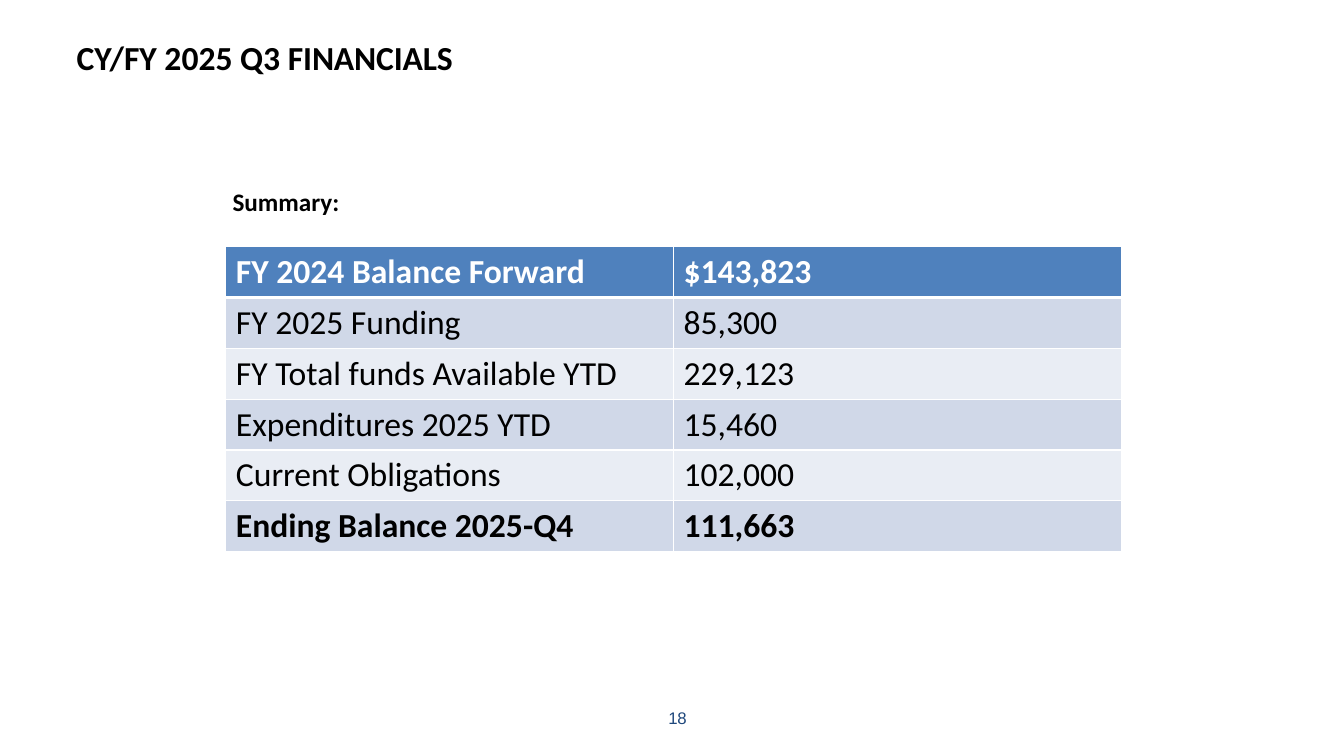
from lxml import etree
from pptx import Presentation
from pptx.dml.color import RGBColor
from pptx.enum.text import MSO_AUTO_SIZE
from pptx.oxml.ns import qn
from pptx.util import Cm, Pt

FIT_SHAPE = MSO_AUTO_SIZE.SHAPE_TO_FIT_TEXT

BLACK = RGBColor(0x00, 0x00, 0x00)
WHITE = RGBColor(0xFF, 0xFF, 0xFF)
NAVY = RGBColor(0x1F, 0x48, 0x7C)
HEADER_BLUE = RGBColor(0x4F, 0x81, 0xBD)
BANDS = [RGBColor(0xE9, 0xED, 0xF4), RGBColor(0xD0, 0xD8, 0xE8)]

SUMMARY_ROWS = [
    ("FY 2024 Balance Forward", "$143,823"),
    ("FY 2025 Funding", "85,300"),
    ("FY Total funds Available YTD", "229,123"),
    ("Expenditures 2025 YTD", "15,460"),
    ("Current Obligations", "102,000"),
    ("Ending Balance 2025-Q4", "111,663"),
]


class SlideBuilder:
    font = "Calibri"

    def __init__(self, prs):
        self.s = prs.slides.add_slide(prs.slide_layouts[6])

    def run(self, p, text, size, color=BLACK, bold=False, font=None, spacing=0):
        r = p.add_run()
        r.text = text
        r.font.name = font or self.font
        r.font.size = Pt(size)
        r.font.bold = bold
        r.font.color.rgb = color
        if spacing:
            r.font._element.set("spc", str(round(spacing * 100)))

    def text(self, left, top, width, height, margins=None):
        """Add a text box and return its first paragraph."""
        sp = self.s.shapes.add_textbox(Cm(left), Cm(top), Cm(width), Cm(height))
        tf = sp.text_frame
        tf.word_wrap = True
        tf.auto_size = FIT_SHAPE
        if margins:
            (tf.margin_left, tf.margin_top,
             tf.margin_right, tf.margin_bottom) = [Cm(m) for m in margins]
        return tf.paragraphs[0]

    def border(self, cell, side, width):
        ln = etree.SubElement(cell._tc.get_or_add_tcPr(), qn(f"a:ln{side}"),
                              w=str(Pt(width)))
        fill = etree.SubElement(ln, qn("a:solidFill"))
        etree.SubElement(fill, qn("a:srgbClr"), val=str(WHITE))

    def table(self, rows, left, top, col_width, row_height, size):
        n_cols = len(rows[0])
        table = self.s.shapes.add_table(
            len(rows), n_cols, Cm(left), Cm(top),
            Cm(col_width * n_cols), Cm(row_height * len(rows))).table
        for col in table.columns:
            col.width = Cm(col_width)
        for i, values in enumerate(rows):
            header, total = i == 0, i == len(rows) - 1
            table.rows[i].height = Cm(row_height)
            for j, value in enumerate(values):
                cell = table.cell(i, j)
                for side in "LRTB":
                    thick = (header and side == "B") or (i == 1 and side == "T")
                    self.border(cell, side, 3 if thick else 1)
                cell.fill.solid()
                cell.fill.fore_color.rgb = HEADER_BLUE if header else BANDS[i % 2]
                self.run(cell.text_frame.paragraphs[0], value, size,
                         WHITE if header else BLACK, header or total)


def main():
    prs = Presentation()
    prs.slide_width, prs.slide_height = Cm(33.86), Cm(19.05)
    b = SlideBuilder(prs)

    # Page number
    p = b.text(16.74, 17.83, 0.71, 0.53, (0.1, 0, 0, 0))
    p.line_spacing = Pt(14.2)
    b.run(p, "18", 12, NAVY, font="Arial", spacing=-0.2)

    # Title
    p = b.text(1.9, 0.91, 11.73, 1.07, (0.03, 0.03, 0, 0))
    p.space_before = Pt(0.9)
    b.run(p, "CY/FY 2025 Q3 ", 24, bold=True)
    b.run(p, "FINANCIALS", 24, bold=True, spacing=-0.1)

    # Financial summary
    b.table(SUMMARY_ROWS, 5.69, 6.22, 11.28, 1.28, 24)
    p = b.text(5.61, 4.57, 5.28, 1.02)
    b.run(p, "Summary:", 18, bold=True)

    prs.save("out.pptx")


if __name__ == "__main__":
    main()
